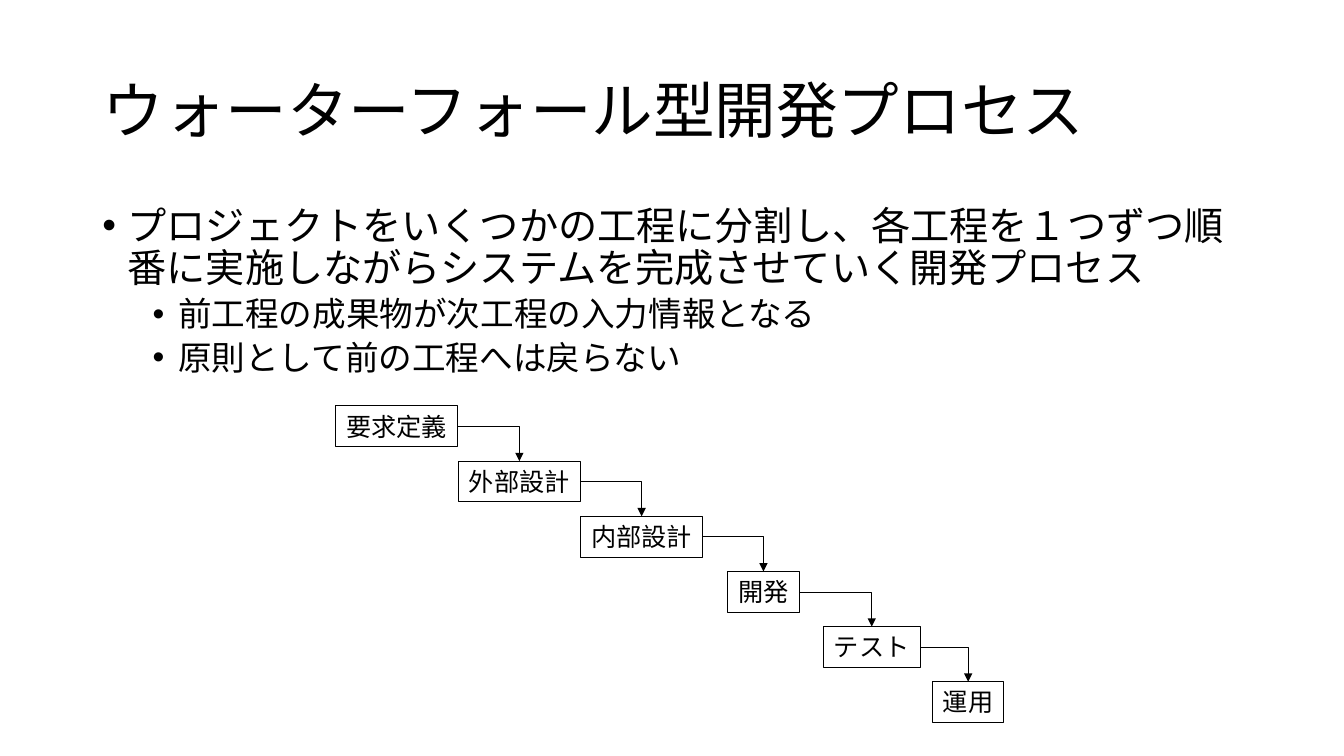
from lxml import etree
from pptx import Presentation
from pptx.dml.color import RGBColor
from pptx.enum.shapes import MSO_CONNECTOR, MSO_SHAPE
from pptx.enum.text import MSO_ANCHOR, MSO_AUTO_SIZE, PP_ALIGN
from pptx.oxml.ns import qn
from pptx.util import Cm, Pt

RECTANGLE = MSO_SHAPE.RECTANGLE
ELBOW = MSO_CONNECTOR.ELBOW
LEFT, CENTER = PP_ALIGN.LEFT, PP_ALIGN.CENTER
TOP, MIDDLE = MSO_ANCHOR.TOP, MSO_ANCHOR.MIDDLE
FIXED, GROW = MSO_AUTO_SIZE.NONE, MSO_AUTO_SIZE.SHAPE_TO_FIT_TEXT
TOP_SIDE, RIGHT_SIDE = 0, 3

TITLE = "ウォーターフォール型開発プロセス"
POINTS = [
    (0, "プロジェクトをいくつかの工程に分割し、各工程を１つずつ順番に実施しながらシステムを完成させていく開発プロセス"),
    (1, "前工程の成果物が次工程の入力情報となる"),
    (1, "原則として前の工程へは戻らない"),
]
LEVELS = [
    {"size": 28, "before": 10, "indent": 0.64},
    {"size": 24, "before": 5, "indent": 1.91},
]
PHASES = [
    ("要求定義", 8.46),
    ("外部設計", 11.55),
    ("内部設計", 14.63),
    ("開発", 18.34),
    ("テスト", 20.75),
    ("運用", 23.5),
]
PHASE_TOP, PHASE_STEP, PHASE_HEIGHT = 10.23, 1.39, 1.03
CHARACTER_WIDTH, PHASE_PADDING = 0.64, 0.52


def color(value):
    """Turn a hex string into a colour."""
    return RGBColor.from_string(value)


def write(para, text, font, size, ink, align=LEFT, spacing=1.0, before=0):
    """Put formatted text into a paragraph."""
    para.alignment = align
    para.line_spacing = spacing
    para.space_before = Pt(before)
    span = para.add_run()
    span.text = text
    span.font.name = font
    span.font.size = Pt(size)
    span.font.color.rgb = color(ink)
    etree.SubElement(span.font._element, qn("a:ea"), typeface=font)


def add_bullet(para, level, indent):
    """Give a paragraph a hanging bullet."""
    para.level = level
    properties = para._p.get_or_add_pPr()
    properties.set("marL", str(Cm(indent)))
    properties.set("indent", str(-Cm(0.64)))
    etree.SubElement(properties, qn("a:buFont"), typeface="Arial")
    etree.SubElement(properties, qn("a:buChar"), char="•")


class SlideBuilder:
    """Hold the style and the current slide."""

    font = "Noto Sans CJK JP"
    ink = "000000"

    def __init__(self, page):
        """Start building on the given page."""
        self.page = page

    def place(self, box, left, top, width, height):
        """Move and size a box."""
        box.left, box.top = Cm(left), Cm(top)
        box.width, box.height = Cm(width), Cm(height)

    def title(self, text, *bounds):
        """Fill the title placeholder."""
        box = self.page.shapes.title
        self.place(box, *bounds)
        frame = box.text_frame
        frame.auto_size = FIXED
        frame.vertical_anchor = MIDDLE
        write(frame.paragraphs[0], text, self.font, 44, self.ink, spacing=0.9)

    def bullets(self, points, *bounds):
        """Add a text box with a bulleted list."""
        box = self.page.shapes.add_textbox(*map(Cm, bounds))
        frame = box.text_frame
        frame.word_wrap = True
        frame.auto_size = FIXED
        frame.vertical_anchor = TOP
        for index, (level, text) in enumerate(points):
            para = frame.add_paragraph() if index else frame.paragraphs[0]
            style = LEVELS[level]
            write(para, text, self.font, style["size"], self.ink,
                  spacing=0.9, before=style["before"])
            add_bullet(para, level, style["indent"])

    def phase(self, text, *bounds):
        """Add an outlined box for one phase."""
        box = self.page.shapes.add_shape(RECTANGLE, *map(Cm, bounds))
        box.shadow.inherit = False
        box.fill.background()
        box.line.color.rgb = color(self.ink)
        box.line.width = Pt(0.75)
        frame = box.text_frame
        frame.word_wrap = False
        frame.auto_size = GROW
        frame.vertical_anchor = TOP
        write(frame.paragraphs[0], text, self.font, 18, self.ink, align=CENTER)
        return box

    def arrow(self, source, target):
        """Join the right side of one box to the top of the next."""
        line = self.page.shapes.add_connector(ELBOW, 0, 0, 0, 0)
        line.begin_connect(source, RIGHT_SIDE)
        line.end_connect(target, TOP_SIDE)
        line.line.color.rgb = color(self.ink)
        line.line.width = Pt(0.5)
        properties = line._element.spPr
        properties.find(qn("a:prstGeom")).set("prst", "bentConnector2")
        etree.SubElement(properties.find(qn("a:ln")), qn("a:tailEnd"), type="triangle")
        etree.SubElement(properties, qn("a:effectLst"))


def main():
    """Build the slide and save it."""
    deck = Presentation()
    deck.slide_width, deck.slide_height = Cm(33.87), Cm(19.05)
    page = deck.slides.add_slide(deck.slide_layouts.get_by_name("Title Only"))
    builder = SlideBuilder(page)
    builder.title(TITLE, 2.33, 1.01, 29.21, 3.68)
    builder.bullets(POINTS, 2.33, 5.07, 29.21, 12.09)
    boxes = [
        builder.phase(name, left, PHASE_TOP + index * PHASE_STEP,
                      len(name) * CHARACTER_WIDTH + PHASE_PADDING, PHASE_HEIGHT)
        for index, (name, left) in enumerate(PHASES)
    ]
    for source, target in zip(boxes, boxes[1:]):
        builder.arrow(source, target)
    deck.save("out.pptx")


if __name__ == "__main__":
    main()
